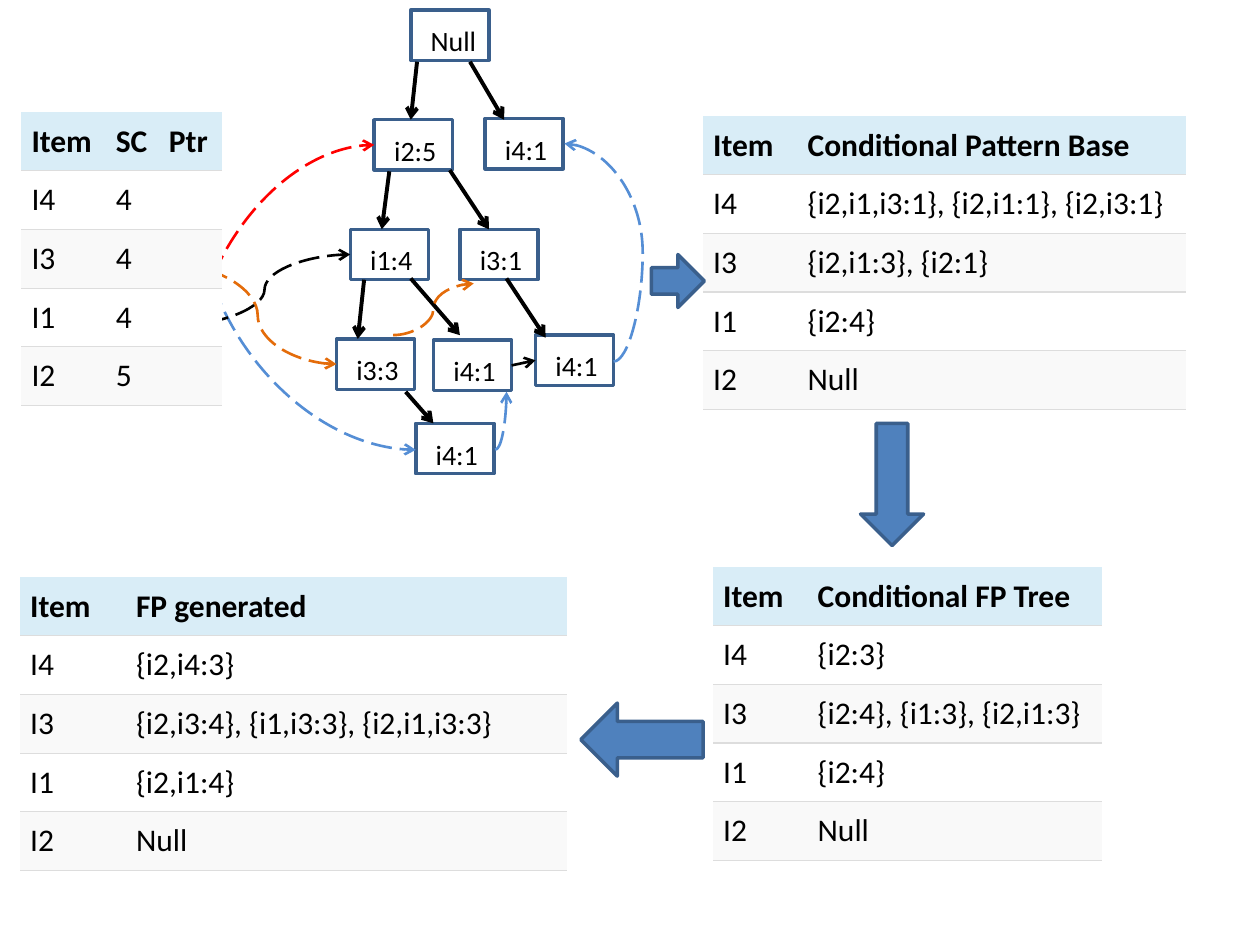
from lxml import etree
from pptx import Presentation
from pptx.dml.color import RGBColor
from pptx.enum.dml import MSO_LINE
from pptx.enum.shapes import MSO_CONNECTOR, MSO_SHAPE
from pptx.enum.text import MSO_ANCHOR
from pptx.oxml.ns import qn
from pptx.util import Inches, Pt

RECT = MSO_SHAPE.RECTANGLE
RIGHT, DOWN, LEFT = MSO_SHAPE.RIGHT_ARROW, MSO_SHAPE.DOWN_ARROW, MSO_SHAPE.LEFT_ARROW
LINE, CURVE = MSO_CONNECTOR.STRAIGHT, MSO_CONNECTOR.CURVE
DASH = MSO_LINE.LONG_DASH
MID, TOP = MSO_ANCHOR.MIDDLE, MSO_ANCHOR.TOP
NO_STYLE = "{2D5ABB26-0587-4C30-8999-92F81FD0307C}"
BLACK, EDGE, BLUE, ORANGE, RED = "000000", "3A5F8C", "558ED5", "E46C0A", "FF0000"


def color(code):
    return RGBColor.from_string(code)


def write(frame, text, size=18, bold=False, tint=BLACK):
    run = frame.paragraphs[0].add_run()
    run.text = text
    run.font.name = "Calibri"
    run.font.size = Pt(size)
    run.font.bold = bold
    run.font.color.rgb = color(tint)


deck = Presentation()
deck.slide_width, deck.slide_height = Inches(10), Inches(7.5)
U = deck.slide_width // 100  # grid of 100 columns by 75 rows
slide = deck.slides.add_slide(deck.slide_layouts[6])
shapes = slide.shapes
tree = shapes.add_group_shape().shapes

# Tree nodes: name, text, column, row
nodes = [
    ("root", "Null", 32.6, 0.8), ("i2", "i2:5", 29.7, 9.5),
    ("i1", "i1:4", 27.8, 18.2), ("i3 left", "i3:3", 26.7, 26.9),
    ("i3 right", "i3:1", 36.5, 18.2), ("i4 right", "i4:1", 42.5, 26.6),
    ("i4 top", "i4:1", 38.5, 9.4), ("i4 mid", "i4:1", 34.4, 27),
    ("i4 low", "i4:1", 33, 33.6),
]
boxes = {}
for name, text, x, y in nodes:
    box = tree.add_shape(RECT, int(x * U), int(y * U), int(6.2 * U), int(4 * U))
    box.shadow.inherit = False
    box.fill.background()
    box.line.color.rgb = color(EDGE)
    box.line.width = Pt(2)
    boxes[name] = box
    label = tree.add_textbox(int((x + 0.6) * U), int((y + 0.6) * U),
                             int(5.7 * U), int(3.6 * U))
    label.text_frame.word_wrap = True
    label.text_frame.margin_right = 0
    write(label.text_frame, text, size=16)

# Tree branches, then header links: start, end, colour, form, bend
links = [(*ends, BLACK, "branch", None) for ends in [
    (33.1, 4.9, 32.6, 9.5), (30.9, 13.6, 30.3, 18.2), (28.9, 22.2, 28.4, 26.9),
    (35.7, 13.5, 38.8, 18.2), (40.2, 22.1, 43.3, 26.8), (37.3, 4.9, 40, 9.5),
    (32.6, 22.1, 36.5, 26.6), (32.2, 31.1, 34.4, 33.6)]]
links += [
    (15.7, 15.9, 33, 35.7, BLUE, "upright", None),
    (39.3, 35.7, 40.2, 31.1, BLUE, "quarter", None),
    (14.2, 21.1, 26.7, 28.9, ORANGE, "wave", 50000),
    (31.2, 26.6, 37.6, 22.5, ORANGE, "wave", 50000),
    (14.2, 25.8, 27.8, 20.2, BLACK, "wave", 50000),
    (15, 30.7, 29.7, 11.5, RED, "upright", None),
    (40.6, 29, 42.5, 28.7, BLACK, "joined", None),
    (48.7, 28.7, 44.8, 11.4, BLUE, "wave", -59300),
]
for x1, y1, x2, y2, tint, form, bend in links:
    turn = 0
    if form == "upright":  # starts vertically: swap the sides and turn the frame
        midx, midy = (x1 + x2) / 2, (y1 + y2) / 2
        wide, high = abs(y2 - y1) / 2, (x2 - x1) / 2
        turn = 270 if y2 > y1 else 90
        high = high if y2 > y1 else -high
        x1, y1, x2, y2 = midx + wide, midy - high, midx - wide, midy + high
    kind = LINE if form in ("branch", "joined") else CURVE
    link = tree.add_connector(kind, *(int(v * U) for v in (x1, y1, x2, y2)))
    if form == "joined":
        link.begin_connect(boxes["i4 mid"], 3)
        link.end_connect(boxes["i4 right"], 1)
    prop = link._element.spPr
    geom = prop.find(qn("a:prstGeom"))
    if form in ("upright", "quarter"):
        geom.set("prst", "curvedConnector2")
    if turn:
        prop.find(qn("a:xfrm")).set("rot", str(turn * 60000))
    if bend is not None:
        guide = etree.SubElement(geom.find(qn("a:avLst")), qn("a:gd"))
        guide.set("name", "adj1")
        guide.set("fmla", f"val {bend}")
    link.line.color.rgb = color(tint)
    link.line.width = Pt(2.25 if form == "branch" else 1.5)
    if form != "branch":
        link.line.dash_style = DASH
    etree.SubElement(prop.find(qn("a:ln")), qn("a:tailEnd")).set("type", "arrow")
    etree.SubElement(prop, qn("a:effectLst"))

# Tables: left, top, column widths, header, body columns
items = ["I4", "I3", "I1", "I2"]
tables = [
    (1.7, 8.9, [6.7, 4.2, 5], ["Item", "SC", "Ptr"],
     [items, ["4", "4", "4", "5"], [""] * 4]),
    (55.8, 9.2, [7.5, 30.8], ["Item", "Conditional Pattern Base"],
     [items, ["{i2,i1,i3:1}, {i2,i1:1}, {i2,i3:1}", "{i2,i1:3}, {i2:1}",
              "{i2:4}", "Null"]]),
    (1.6, 45.8, [8.4, 35], ["Item", "FP generated"],
     [items, ["{i2,i4:3}", "{i2,i3:4}, {i1,i3:3}, {i2,i1,i3:3}",
              "{i2,i1:4}", "Null"]]),
    (56.6, 45, [7.5, 23.4], ["Item", "Conditional FP Tree"],
     [items, ["{i2:3}", "{i2:4}, {i1:3}, {i2,i1:3}", "{i2:4}", "Null"]]),
]
for x, y, widths, head, body in tables:
    rows = [head, *zip(*body)]
    grid = shapes.add_table(len(rows), len(head), int(x * U), int(y * U),
                            int(sum(widths) * U), int(23.3 * U)).table
    grid.first_row = grid.horz_banding = False
    grid._tbl.tblPr.find(qn("a:tableStyleId")).text = NO_STYLE
    for col, wide in zip(grid.columns, widths):
        col.width = int(wide * U)
    for r, row in enumerate(rows):
        grid.rows[r].height = int(4.66 * U)
        for c, text in enumerate(row):
            cell = grid.cell(r, c)
            cell.margin_left = cell.margin_right = int(0.8 * U)
            cell.margin_top = cell.margin_bottom = int(0.8 * U)
            cell.vertical_anchor = TOP if r else MID
            for side in ("a:lnT", "a:lnB") if r else ("a:lnB",):
                rule = etree.SubElement(cell._tc.get_or_add_tcPr(), qn(side))
                rule.set("w", str(Pt(0.75)))
                paint = etree.SubElement(rule, qn("a:solidFill"))
                etree.SubElement(paint, qn("a:srgbClr")).set("val", "DDDDDD")
            cell.fill.solid()
            shade = "D9EDF7" if r == 0 else "FFFFFF" if r % 2 else "F9F9F9"
            cell.fill.fore_color.rgb = color(shade)
            if text:
                write(cell.text_frame, text, bold=r == 0)

# Block arrows from step to step
for kind, x, y, wide, high in [(RIGHT, 51.7, 20.2, 4.2, 4.2),
                               (DOWN, 68.3, 33.6, 5, 9.7),
                               (LEFT, 46.1, 55.8, 9.7, 5.8)]:
    step = shapes.add_shape(kind, *(int(v * U) for v in (x, y, wide, high)))
    step.shadow.inherit = False
    step.fill.solid()
    step.fill.fore_color.rgb = color("4F81BD")
    step.line.color.rgb = color(EDGE)
    step.line.width = Pt(2)

deck.save("out.pptx")
